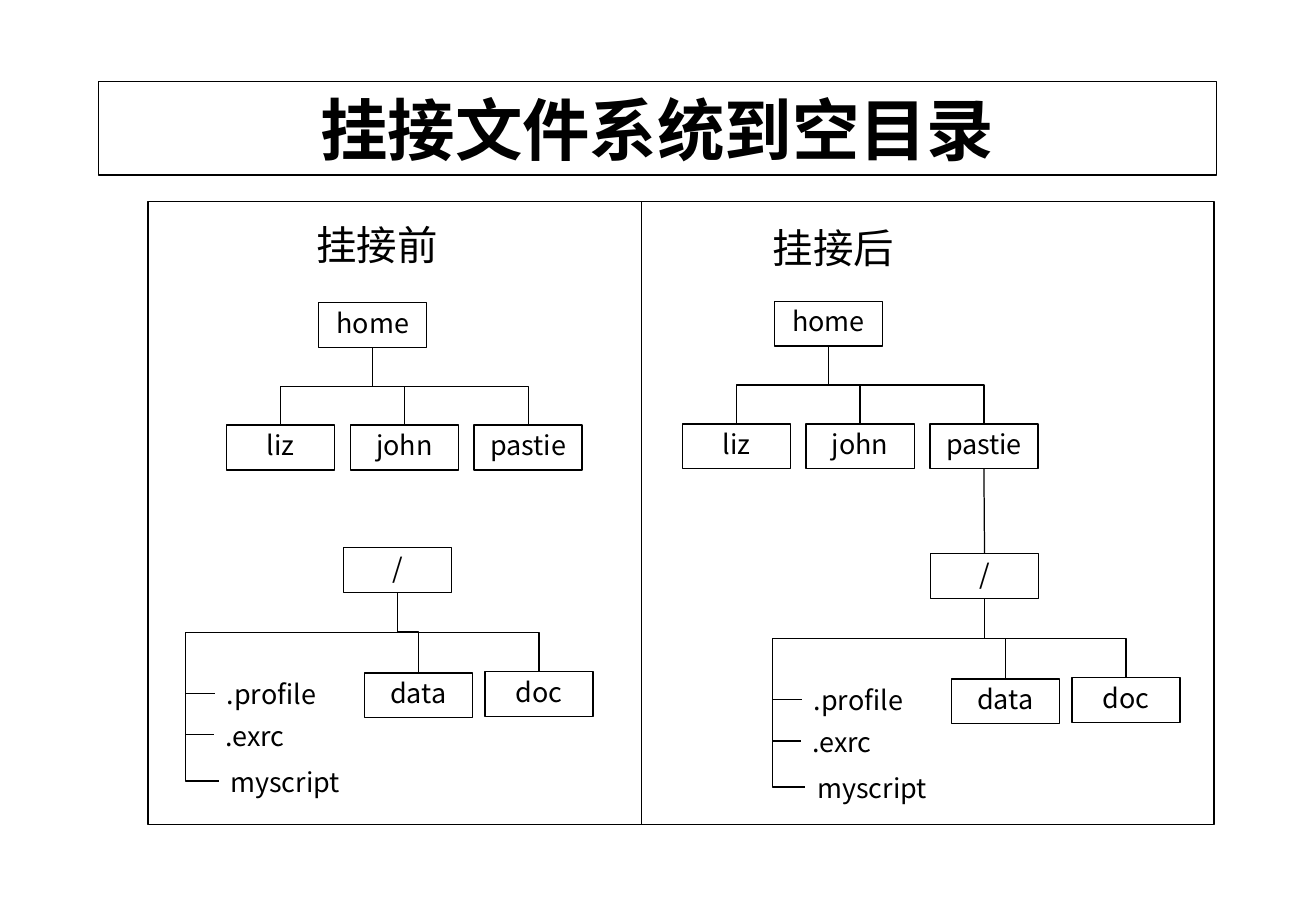
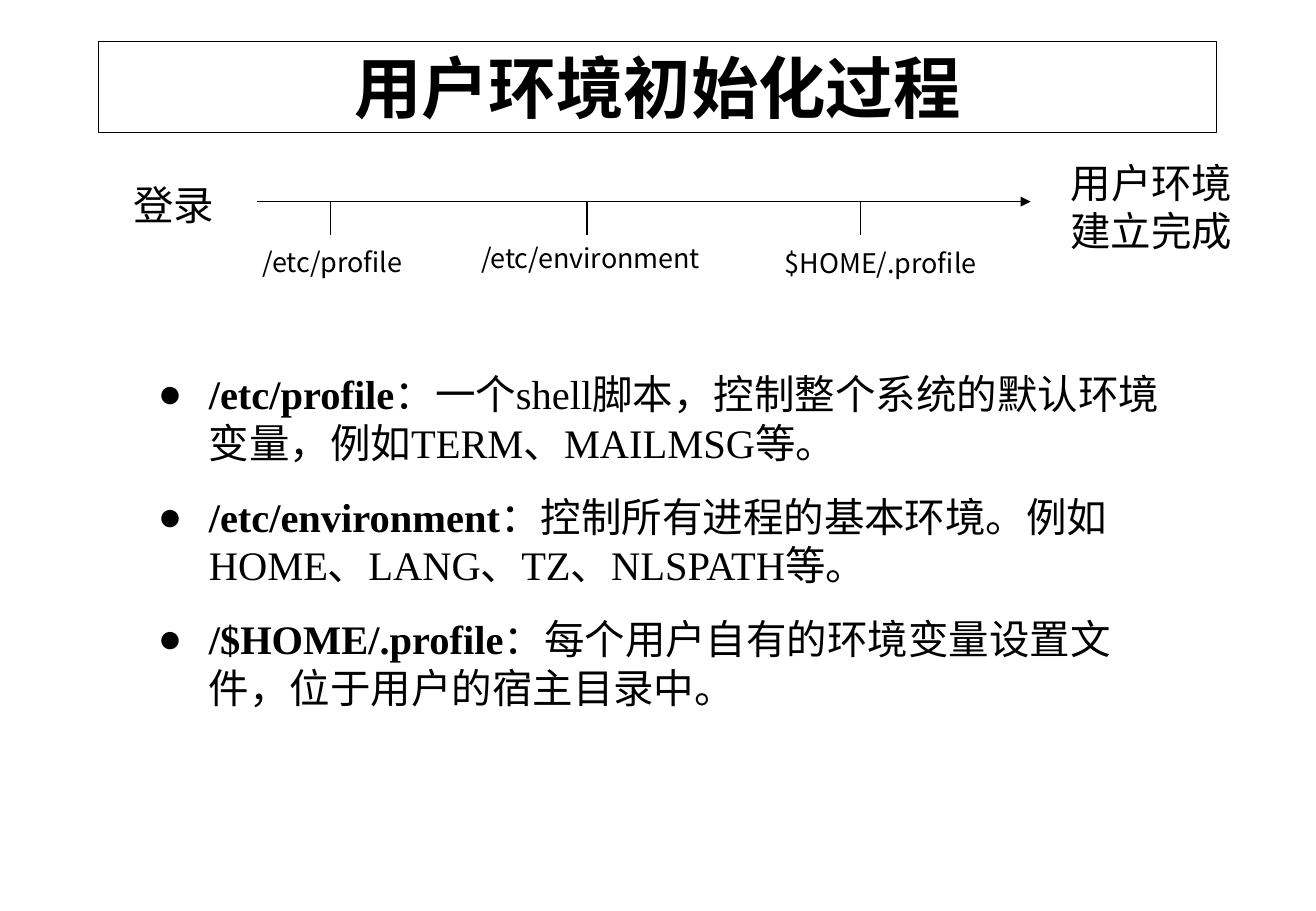
from dataclasses import dataclass

import pptx
import pptx.dml.color
import pptx.enum.shapes
import pptx.enum.text
import pptx.oxml.ns
import pptx.util
from lxml import etree

ALIGN = pptx.enum.text.PP_ALIGN
ANCHOR = pptx.enum.text.MSO_ANCHOR
CONNECTOR = pptx.enum.shapes.MSO_CONNECTOR
qn = pptx.oxml.ns.qn


@dataclass(frozen=True)
class Theme:
    ink: str = "000000"
    paper: str = "FFFFFF"
    serif: str = "Times New Roman"
    sans: str = "Noto Sans CJK SC"
    title: int = 40
    text: int = 24
    label: int = 16
    leading: float = 1.2
    tight: float = 1.08
    rule: float = 0.75


THEME = Theme()
COLUMNS, ROWS = 108.4, 75
NODE_WIDTH, NODE_HEIGHT, NODE_PITCH = 8.9, 3.7, 10.2


def cells(count):
    return pptx.util.Inches(count / 10)


def color(code):
    return pptx.dml.color.RGBColor.from_string(code)


def place(shape, left, top, width, height):
    shape.left, shape.top = cells(left), cells(top)
    shape.width, shape.height = cells(width), cells(height)


def outline(line):
    line.color.rgb = color(THEME.ink)
    line.width = pptx.util.Pt(THEME.rule)


def add_bullet(paragraph, mark="●", indent=4.2):
    properties = paragraph._p.get_or_add_pPr()
    properties.set("marL", str(cells(indent)))
    properties.set("indent", str(-cells(indent)))
    properties.set("hangingPunct", "0")
    tint = etree.SubElement(properties, qn("a:buClr"))
    etree.SubElement(tint, qn("a:srgbClr"), val=THEME.ink)
    etree.SubElement(properties, qn("a:buChar"), char=mark)


def write(frame, *paragraphs, size=THEME.label, font=THEME.sans, align=ALIGN.CENTER,
          anchor=ANCHOR.TOP, inset=0.5, before=0, leading=THEME.leading,
          bold=False, bullet=False):
    frame.word_wrap = True
    frame.auto_size = pptx.enum.text.MSO_AUTO_SIZE.NONE
    frame.vertical_anchor = anchor
    frame.margin_left = frame.margin_right = cells(1)
    frame.margin_top, frame.margin_bottom = cells(inset), cells(0.5)
    for index, content in enumerate(paragraphs):
        paragraph = frame.add_paragraph() if index else frame.paragraphs[0]
        if bullet:
            add_bullet(paragraph)
        paragraph.alignment = align
        paragraph.line_spacing = pptx.util.Pt(size * leading)
        paragraph.space_before = pptx.util.Pt(before if index else 0)
        pieces = [(content, bold)] if isinstance(content, str) else content
        for words, strong in pieces:
            run = paragraph.add_run()
            run.text = words
            run.font.size = pptx.util.Pt(size)
            run.font.bold = strong
            run.font.color.rgb = color(THEME.ink)
            run.font.name = font
            etree.SubElement(run._r.get_or_add_rPr(), qn("a:ea"), typeface=THEME.sans)


def add_title(slide, text, top, height):
    title = slide.shapes.title
    place(title, 8.1, top, 92.1, height)
    title.fill.solid()
    title.fill.fore_color.rgb = color(THEME.paper)
    outline(title.line)
    write(title.text_frame, text, size=THEME.title, font=THEME.serif,
          anchor=ANCHOR.MIDDLE, bold=True)


def add_label(slide, text, left, top, width, height, **style):
    label = slide.shapes.add_textbox(0, 0, 0, 0)
    place(label, left, top, width, height)
    write(label.text_frame, text, **style)


def add_box(slide, left, top, width=NODE_WIDTH, height=NODE_HEIGHT, text=None):
    box = slide.shapes.add_shape(pptx.enum.shapes.MSO_SHAPE.RECTANGLE, 0, 0, 0, 0)
    place(box, left, top, width, height)
    box.shadow.inherit = False
    box.fill.background()
    outline(box.line)
    if text:
        write(box.text_frame, text, inset=0.3)


def add_line(slide, x1, y1, x2, y2, kind=CONNECTOR.STRAIGHT, arrow=False):
    line = slide.shapes.add_connector(kind, cells(x1), cells(y1), cells(x2), cells(y2))
    outline(line.line)
    if arrow:
        etree.SubElement(line.line._get_or_add_ln(), qn("a:tailEnd"), type="triangle")
    etree.SubElement(line._element.spPr, qn("a:effectLst"))
    return line


def add_elbow(slide, start, end, bus, spine=None):
    (x1, y1), (x2, y2) = start, end
    run, drop = abs(x2 - x1), y2 - y1
    left, top = (x1 + x2 - drop) / 2, (y1 + y2 - run) / 2
    elbow = add_line(slide, left, top, left + drop, top + run, kind=CONNECTOR.ELBOW)
    properties = elbow._element.spPr
    frame = properties.find(qn("a:xfrm"))
    frame.set("rot", str((90 if x2 < x1 else 270) * 60000))
    if x2 > x1:
        frame.set("flipH", "1")
    bends = [(bus - y1) / drop]
    if spine is not None:
        bends.append((x1 - spine) / run)
    geometry = properties.find(qn("a:prstGeom"))
    geometry.set("prst", f"bentConnector{len(bends) + 2}")
    guides = geometry.find(qn("a:avLst"))
    if guides is None:
        guides = etree.SubElement(geometry, qn("a:avLst"))
    for number, share in enumerate(bends, 1):
        etree.SubElement(guides, qn("a:gd"), name=f"adj{number}",
                         fmla=f"val {round(share * 100000)}")


def add_branches(slide, left, top, bus, children):
    for name, child_left, child_top in children:
        add_box(slide, child_left, child_top, text=name)
        add_elbow(slide, (left + NODE_WIDTH / 2, top + NODE_HEIGHT),
                  (child_left + NODE_WIDTH / 2, child_top), bus)


def add_home_tree(slide, left, top):
    home = left + 7.6
    add_box(slide, home, top, text="home")
    users = [(name, left + index * NODE_PITCH, top + 10.1)
             for index, name in enumerate(("liz", "john", "pastie"))]
    add_branches(slide, home, top, top + 6.9, users)


def add_root_tree(slide, left, top):
    add_box(slide, left, top, text="/")
    bus, spine = top + 6.95, left - 13
    folders = [("data", left + 1.7, top + 10.3), ("doc", left + 11.65, top + 10.2)]
    add_branches(slide, left, top, bus, folders)
    files = ((".profile", -10.6, 10.4), (".exrc", -10.7, 13.8), ("myscript", -10.3, 17.6))
    for name, shift, drop in files:
        add_label(slide, name, left + shift, top + drop, 13.1, 3.3,
                  align=ALIGN.LEFT, inset=0.3)
        add_elbow(slide, (left + NODE_WIDTH / 2, top + NODE_HEIGHT),
                  (left + shift, top + drop + 1.6), bus, spine)


def build_mounting(slide):
    add_title(slide, "挂接文件系统到空目录", 6.7, 7.7)
    headings = (("挂接前", 21.4, 17.6), ("挂接后", 59, 17.9))
    for heading, left, top in headings:
        add_label(slide, heading, left, top, 19.3, 5, size=THEME.text, font=THEME.serif)
    for left, top in ((18.65, 24.9), (56.2, 24.8)):
        add_home_tree(slide, left, top)
    for left, top in ((28.3, 45.1), (76.65, 45.6)):
        add_root_tree(slide, left, top)
    add_line(slide, 81.05, 38.6, 81.1, 45.6)
    add_box(slide, 12.2, 16.6, 87.8, 51.3)
    add_line(slide, 52.85, 16.6, 52.85, 67.9)


def build_login(slide):
    add_title(slide, "用户环境初始化过程", 3.4, 7.5)
    ends = (("登录", 9.1, 14.3, 10.4, 5), ("用户环境建立完成", 85.8, 12.5, 18.1, 9))
    for text, *area in ends:
        add_label(slide, text, *area, size=THEME.text, font=THEME.serif)
    add_line(slide, 21.2, 16.6, 84.9, 16.6, arrow=True)
    steps = (("/etc/profile", 27.2, 18.8, 20, 17.2),
             ("/etc/environment", 48.35, 36.7, 19.7, 23.9),
             ("$HOME/.profile", 70.9, 60.6, 20.1, 23.9))
    for name, tick, left, top, width in steps:
        add_line(slide, tick, 16.6, tick, 19.35)
        add_label(slide, name, left, top, width, 3.6, leading=THEME.tight)
    details = slide.placeholders[1]
    place(details, 12, 29.9, 85.3, 29.2)
    write(details.text_frame,
          [("/etc/profile", True),
           ("：一个shell脚本，控制整个系统的默认环境变量，例如TERM、MAILMSG等。", False)],
          [("/etc/environment", True),
           ("：控制所有进程的基本环境。例如HOME、LANG、TZ、NLSPATH等。", False)],
          [("/$HOME/.profile", True),
           ("：每个用户自有的环境变量设置文件，位于用户的宿主目录中。", False)],
          size=THEME.text, font=THEME.serif, align=ALIGN.LEFT, before=15, bullet=True)


def main():
    deck = pptx.Presentation()
    deck.slide_width, deck.slide_height = cells(COLUMNS), cells(ROWS)
    for layout, build in ((5, build_mounting), (1, build_login)):
        slide = deck.slides.add_slide(deck.slide_layouts[layout])
        slide.background.fill.solid()
        slide.background.fill.fore_color.rgb = color(THEME.paper)
        build(slide)
    deck.save("out.pptx")


if __name__ == "__main__":
    main()
